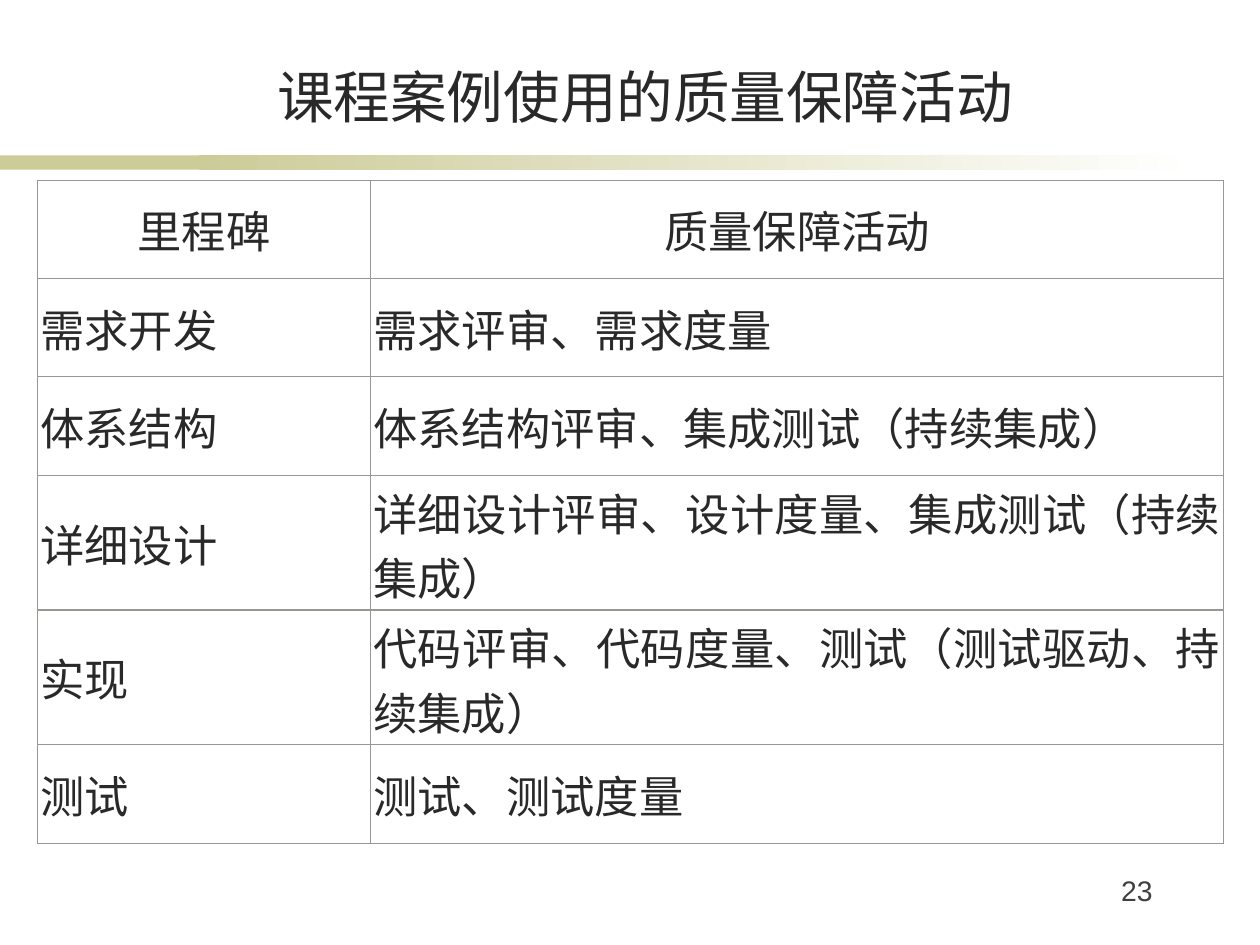
from lxml.etree import SubElement
from pptx import Presentation
from pptx.dml.color import RGBColor
from pptx.enum.shapes import MSO_SHAPE as Shape
from pptx.enum.text import MSO_ANCHOR as Anchor, PP_ALIGN as Align
from pptx.oxml.ns import qn
from pptx.util import Cm, Pt

LATIN, CHINESE = "Arial", "Noto Sans CJK SC"
INK, NUMBER_GREY, RULE_GREY = "292929", "3F3F3F", "989892"
OLIVE, WHITE = "CCCC99", "FFFFFF"

ACTIVITIES = [
    ("里程碑", "质量保障活动"),
    ("需求开发", "需求评审、需求度量"),
    ("体系结构", "体系结构评审、集成测试（持续集成）"),
    ("详细设计", "详细设计评审、设计度量、集成测试（持续集成）"),
    ("实现", "代码评审、代码度量、测试（测试驱动、持续集成）"),
    ("测试", "测试、测试度量"),
]
COLUMN_WIDTHS = (9.55, 24.46)
ROW_HEIGHTS = (2.82, 2.82, 2.82, 3.86, 3.86, 2.82)


def color(value):
    return RGBColor.from_string(value)


def set_values(target, values):
    for name, value in values.items():
        setattr(target, name, value)


def write(para, text, size, ink, align, latin):
    para.alignment = align
    span = para.add_run()
    span.text = text
    set_values(span.font, {"size": Pt(size), "name": latin, "bold": False})
    span.font.color.rgb = color(ink)
    # Chinese glyphs take their own typeface
    SubElement(span.font._element, qn("a:ea"), typeface=CHINESE)


def add_text(page, area, text, size, ink, align, anchor):
    frame = page.shapes.add_textbox(*map(Cm, area)).text_frame
    set_values(frame, {
        "word_wrap": True, "vertical_anchor": anchor,
        "margin_left": Cm(0.36), "margin_right": Cm(0.36),
        "margin_top": Cm(0.18), "margin_bottom": Cm(0.18),
    })
    write(frame.paragraphs[0], text, size, ink, align, LATIN)


def add_band(page, left, width, fade=False):
    band = page.shapes.add_shape(
        Shape.RECTANGLE, Cm(left), Cm(4.45), Cm(width), Cm(0.41))
    band.shadow.inherit = False
    band.line.fill.background()
    if not fade:
        band.fill.solid()
        band.fill.fore_color.rgb = color(OLIVE)
        return
    band.fill.gradient()
    band.fill.gradient_angle = 0
    for stop, position, tint in zip(band.fill.gradient_stops, (0, 1), (OLIVE, WHITE)):
        stop.position = position
        stop.color.rgb = color(tint)


def add_borders(cell):
    properties = cell._tc.get_or_add_tcPr()
    for index, side in enumerate(("lnL", "lnR", "lnT", "lnB")):
        line = properties.makeelement(qn(f"a:{side}"), {"w": str(Pt(0.96))})
        fill = SubElement(line, qn("a:solidFill"))
        SubElement(fill, qn("a:srgbClr"), val=RULE_GREY)
        properties.insert(index, line)


def fill_cell(cell, text, align):
    set_values(cell, {
        "vertical_anchor": Anchor.MIDDLE,
        "margin_left": Cm(0.08), "margin_right": Cm(0.08),
        "margin_top": Cm(0.13), "margin_bottom": Cm(0.13),
    })
    cell.fill.background()
    add_borders(cell)
    write(cell.text_frame.paragraphs[0], text, 36, INK, align, CHINESE)


def add_activity_table(page):
    table = page.shapes.add_table(
        len(ACTIVITIES), len(COLUMN_WIDTHS), Cm(1.07), Cm(5.16),
        Cm(sum(COLUMN_WIDTHS)), Cm(sum(ROW_HEIGHTS))).table
    set_values(table, {"first_row": False, "horz_banding": False})
    for column, width in zip(table.columns, COLUMN_WIDTHS):
        column.width = Cm(width)
    for index, (row, height) in enumerate(zip(table.rows, ROW_HEIGHTS)):
        row.height = Cm(height)
        align = Align.JUSTIFY if index else Align.CENTER
        for cell, text in zip(row.cells, ACTIVITIES[index]):
            fill_cell(cell, text, align)


def main():
    deck = Presentation()
    set_values(deck, {"slide_width": Cm(36.12), "slide_height": Cm(27.08)})
    page = deck.slides.add_slide(deck.slide_layouts[6])

    # Band under the title
    add_band(page, 0, 8.43)
    add_band(page, 5.72, 28.6, fade=True)

    # Title and page number
    add_text(page, (4.11, 1.6, 28.75, 2.29), "课程案例使用的质量保障活动",
             46, INK, Align.CENTER, Anchor.BOTTOM)
    add_text(page, (29.72, 24.84, 3.68, 1.8), "23",
             23, NUMBER_GREY, Align.RIGHT, Anchor.TOP)

    # Milestones and their activities
    add_activity_table(page)
    deck.save("out.pptx")


if __name__ == "__main__":
    main()
